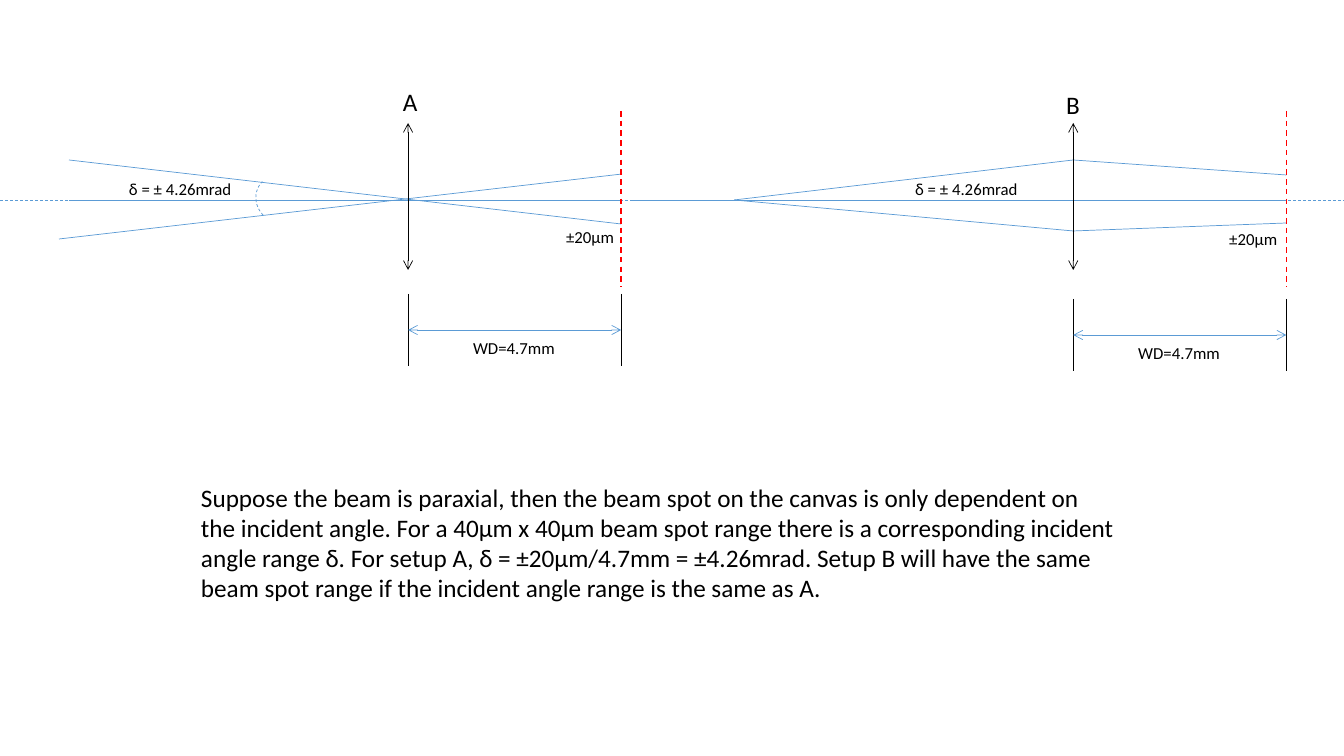
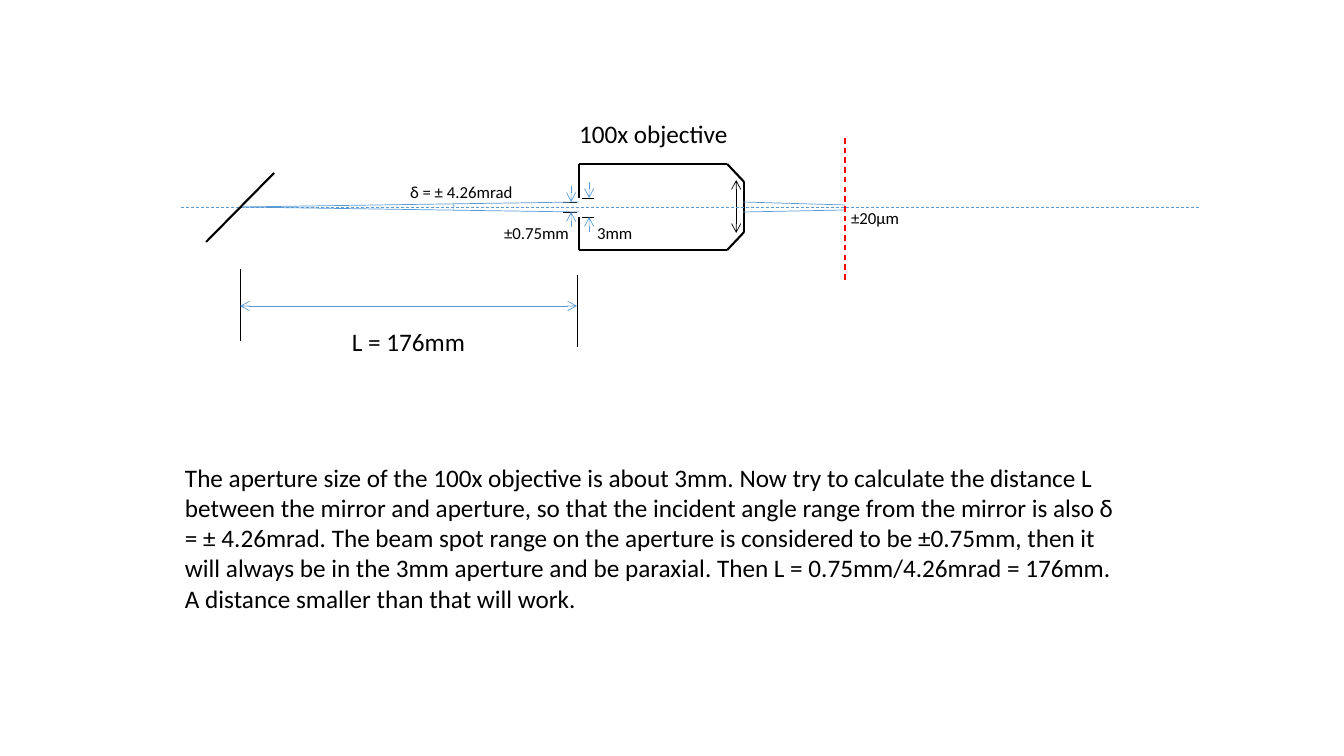
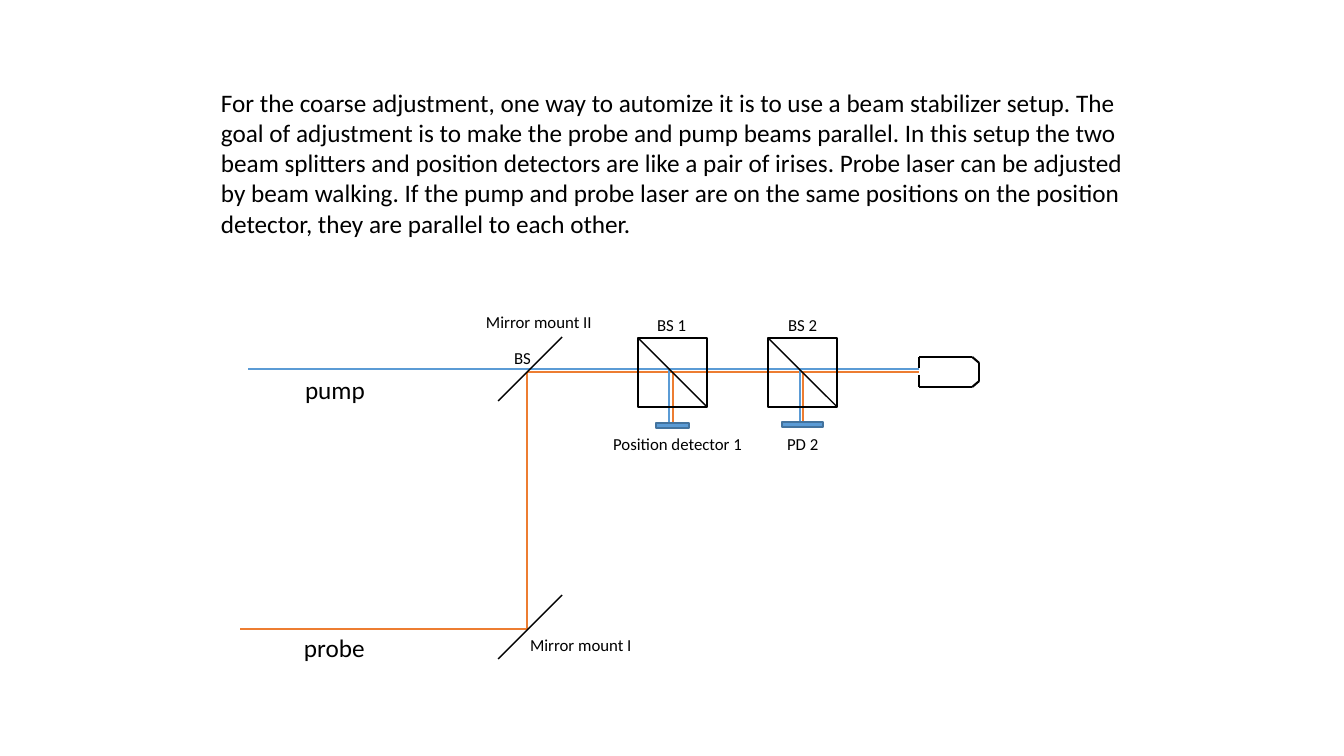
"""Build three slides on beam angle range, mirror distance and coarse alignment."""
from dataclasses import dataclass
from itertools import pairwise

from pptx import Presentation
from pptx.dml.color import RGBColor
from pptx.enum.dml import MSO_LINE
from pptx.enum.shapes import MSO_CONNECTOR, MSO_SHAPE
from pptx.enum.text import MSO_AUTO_SIZE
from pptx.oxml.ns import qn
from pptx.slide import Slide
from pptx.util import Emu, Inches, Pt
from lxml.etree import SubElement

EMU_PER_PIXEL = 914400 / 100.8
Point = tuple[int, int]


@dataclass(frozen=True)
class Stroke:
    color: str
    width: float
    dashed: bool = False


@dataclass(frozen=True)
class Theme:
    font: str = "Calibri"
    ink: str = "000000"
    blue: str = "5B9BD5"
    edge: str = "43739E"
    orange: str = "ED7D31"
    red: str = "FF0000"
    small: int = 12
    large: int = 18


THEME = Theme()
THIN = Stroke(THEME.ink, 0.5)
MEDIUM = Stroke(THEME.ink, 1)
THICK = Stroke(THEME.ink, 1.5)
RAY = Stroke(THEME.blue, 0.5)
AXIS = Stroke(THEME.blue, 0.5, dashed=True)
CANVAS = Stroke(THEME.red, 1, dashed=True)
PUMP = Stroke(THEME.blue, 1)
PROBE = Stroke(THEME.orange, 1)
DETECTOR_EDGE = Stroke(THEME.edge, 1)


@dataclass(frozen=True)
class Label:
    words: str
    left: int
    top: int
    width: int
    size: int = THEME.small
    height: int = 30
    wrap: bool = False


@dataclass(frozen=True)
class Line:
    start: Point
    end: Point
    stroke: Stroke
    head: bool = False
    tail: bool = False


@dataclass(frozen=True)
class Setup:
    lens: int
    gauge_top: int


@dataclass(frozen=True)
class Objective:
    left: int
    shoulder: int
    right: int
    top: int
    nose_top: int
    aperture_top: int
    aperture_bottom: int
    nose_bottom: int
    bottom: int


@dataclass(frozen=True)
class Splitter:
    left: int
    pump: int
    detector_left: int
    detector_top: int
    detector_width: int


def px(length: int) -> Emu:
    """Turn pixels into EMU."""
    return Emu(round(length * EMU_PER_PIXEL))


def set_stroke(line_format, stroke: Stroke) -> None:
    """Give a line its colour, width and dash."""
    line_format.color.rgb = RGBColor.from_string(stroke.color)
    line_format.width = Pt(stroke.width)
    if stroke.dashed:
        line_format.dash_style = MSO_LINE.DASH


def draw_lines(shapes, *lines: Line) -> None:
    """Draw straight lines with optional open arrowheads."""
    for line in lines:
        connector = shapes.add_connector(
            MSO_CONNECTOR.STRAIGHT, *map(px, line.start + line.end))
        set_stroke(connector.line, line.stroke)
        outline = connector.line._get_or_add_ln()
        for shown, tag in ((line.head, "a:headEnd"), (line.tail, "a:tailEnd")):
            if shown:
                SubElement(outline, qn(tag), type="arrow")
        SubElement(connector._element.spPr, qn("a:effectLst"))


def draw_labels(page: Slide, *labels: Label) -> None:
    """Add text boxes that each hold one run."""
    for label in labels:
        box = page.shapes.add_textbox(
            *map(px, (label.left, label.top, label.width, label.height)))
        frame = box.text_frame
        frame.word_wrap = label.wrap
        frame.auto_size = MSO_AUTO_SIZE.SHAPE_TO_FIT_TEXT
        span = frame.paragraphs[0].add_run()
        span.text = label.words
        span.font.name = THEME.font
        span.font.size = Pt(label.size)
        span.font.color.rgb = RGBColor.from_string(THEME.ink)


def draw_shape(shapes, kind: MSO_SHAPE, area: tuple[int, int, int, int],
               stroke: Stroke, fill: str | None = None,
               rotation: float = 0) -> None:
    """Draw a preset shape without shadow."""
    shape = shapes.add_shape(kind, *map(px, area))
    shape.shadow.inherit = False
    shape.rotation = rotation
    set_stroke(shape.line, stroke)
    if fill:
        shape.fill.solid()
        shape.fill.fore_color.rgb = RGBColor.from_string(fill)
    else:
        shape.fill.background()


def draw_double_arrow(page: Slide, start: Point, end: Point, stroke: Stroke) -> None:
    """Draw a line with an arrowhead at both ends."""
    draw_lines(page.shapes, Line(start, end, stroke, head=True, tail=True))


def draw_dimension(page: Slide, left: Point, right: Point, level: int) -> None:
    """Draw two extension lines and the arrow between them."""
    for x, top in (left, right):
        draw_lines(page.shapes, Line((x, top), (x, top + 72), THIN))
    draw_double_arrow(page, (left[0], level), (right[0], level), RAY)


def draw_setup(page: Slide, setup: Setup) -> None:
    """Draw a lens, its canvas and the working distance."""
    canvas = setup.lens + 213
    draw_double_arrow(page, (setup.lens, 123), (setup.lens, 270), THIN)
    draw_lines(page.shapes, Line((canvas, 111), (canvas, 287), CANVAS))
    draw_dimension(page, (setup.lens, setup.gauge_top),
                   (canvas, setup.gauge_top), setup.gauge_top + 36)
    draw_labels(page, Label("WD=4.7mm", setup.lens + 55, setup.gauge_top + 39,
                            107, wrap=True))


def draw_objective(page: Slide, lens: Objective) -> None:
    """Draw an objective outline, open at the aperture."""
    outline = (
        (lens.left, lens.aperture_top), (lens.left, lens.top),
        (lens.shoulder, lens.top), (lens.right, lens.nose_top),
        (lens.right, lens.nose_bottom), (lens.shoulder, lens.bottom),
        (lens.left, lens.bottom), (lens.left, lens.aperture_bottom))
    group = page.shapes.add_group_shape()
    draw_lines(group.shapes, *(Line(a, b, THICK) for a, b in pairwise(outline)))


def draw_aperture_gauge(page: Slide, left: int, right: int, arrow: int,
                        top: int, bottom: int) -> None:
    """Draw two ticks with arrows closing in on them."""
    for level, outside in ((top, top - 16), (bottom, bottom + 15)):
        draw_lines(page.shapes,
                   Line((left, level), (right, level), THIN),
                   Line((arrow, outside), (arrow, level), RAY, tail=True))


def draw_splitter(page: Slide, splitter: Splitter) -> None:
    """Draw a splitter cube, its two branches and its detector."""
    left, top, side = splitter.left, 338, 69
    draw_lines(page.shapes,
               Line((left + 35, 372), (left + 35, splitter.detector_top), PROBE),
               Line((splitter.pump, 369), (splitter.pump, splitter.detector_top), PUMP))
    draw_shape(page.shapes, MSO_SHAPE.RECTANGLE,
               (splitter.detector_left, splitter.detector_top,
                splitter.detector_width, 5), DETECTOR_EDGE, THEME.blue)
    cube = page.shapes.add_group_shape()
    draw_shape(cube.shapes, MSO_SHAPE.RECTANGLE, (left, top, side, side), MEDIUM)
    draw_lines(cube.shapes, Line((left, top), (left + side, top + side), MEDIUM))


def build_angle_page(page: Slide) -> None:
    """Compare the incident angle range of setups A and B."""
    source, upper, lower = (734, 200), (1073, 160), (1073, 231)
    draw_lines(page.shapes,
               Line((0, 200), (925, 200), AXIS),
               Line((69, 200), (621, 200), RAY),
               Line((621, 224), (69, 160), RAY),
               Line((622, 174), (59, 239), RAY),
               Line((633, 200), (1344, 200), AXIS),
               Line(source, (1286, 200), RAY),
               Line(source, upper, RAY),
               Line(source, lower, RAY),
               Line(upper, (1286, 175), RAY),
               Line(lower, (1286, 223), RAY))
    for setup in (Setup(408, 294), Setup(1073, 299)):
        draw_setup(page, setup)
    draw_shape(page.shapes, MSO_SHAPE.ARC, (255, 176, 49, 46), AXIS, rotation=225.4)
    draw_labels(
        page,
        Label("A", 393, 81, 35, THEME.large, 40),
        Label("B", 1056, 84, 34, THEME.large, 40),
        Label("δ = ± 4.26mrad", 119, 174, 124),
        Label("δ = ± 4.26mrad", 905, 174, 124),
        Label("±20µm", 556, 222, 70),
        Label("±20µm", 1219, 224, 70),
        Label("Suppose the beam is paraxial, then the beam spot on the canvas is "
              "only dependent on the incident angle. For a 40µm x 40µm beam spot "
              "range there is a corresponding incident angle range δ. For setup A, "
              "δ = ±20µm/4.7mm = ±4.26mrad. Setup B will have the same beam spot "
              "range if the incident angle range is the same as A.",
              191, 477, 937, THEME.large, 132, wrap=True))


def build_distance_page(page: Slide) -> None:
    """Show the distance from the mirror to the objective aperture."""
    draw_objective(page, Objective(left=579, shoulder=727, right=744, top=164,
                                   nose_top=182, aperture_top=198,
                                   aperture_bottom=217, nose_bottom=232, bottom=250))
    draw_double_arrow(page, (736, 180), (736, 233), THIN)
    draw_aperture_gauge(page, 563, 577, 571, 202, 212)
    draw_aperture_gauge(page, 582, 594, 589, 198, 217)
    draw_lines(page.shapes,
               Line((181, 207), (1199, 207), AXIS),
               Line((240, 207), (579, 202), RAY),
               Line((240, 207), (579, 212), RAY),
               Line((743, 202), (845, 205), RAY),
               Line((743, 212), (845, 210), RAY),
               Line((274, 173), (206, 242), THICK),
               Line((845, 138), (845, 282), CANVAS))
    draw_dimension(page, (240, 269), (577, 275), 306)
    draw_shape(page.shapes, MSO_SHAPE.ARC, (446, 203, 8, 8), AXIS, rotation=46.2)
    draw_labels(
        page,
        Label("3mm", 587, 218, 56),
        Label("±0.75mm", 494, 218, 87),
        Label("100x objective", 569, 113, 170, THEME.large, 40),
        Label("L = 176mm", 342, 321, 135, THEME.large, 40),
        Label("δ = ± 4.26mrad", 400, 177, 124),
        Label("±20µm", 841, 203, 70),
        Label("The aperture size of the 100x objective is about 3mm. Now try to "
              "calculate the distance L between the mirror and aperture, so that "
              "the incident angle range from the mirror is also δ = ± 4.26mrad. "
              "The beam spot range on the aperture is considered to be ±0.75mm, "
              "then it will always be in the 3mm aperture and be paraxial. Then "
              "L = 0.75mm/4.26mrad = 176mm. A distance smaller than that will work.",
              175, 457, 954, THEME.large, 163, wrap=True))


def build_alignment_page(page: Slide) -> None:
    """Show the beam stabilizer setup for coarse adjustment."""
    probe_route = ((240, 629), (527, 629), (527, 372), (919, 372))
    draw_lines(page.shapes, *(Line(a, b, PROBE) for a, b in pairwise(probe_route)))
    draw_lines(page.shapes, Line((248, 369), (919, 369), PUMP))
    for mirror_top in (337, 595):
        draw_lines(page.shapes,
                   Line((562, mirror_top), (498, mirror_top + 64), MEDIUM))
    for splitter in (Splitter(638, 669, 656, 423, 33),
                     Splitter(768, 800, 782, 422, 41)):
        draw_splitter(page, splitter)
    draw_objective(page, Objective(left=919, shoulder=972, right=979, top=357,
                                   nose_top=363, aperture_top=368,
                                   aperture_bottom=375, nose_bottom=381, bottom=387))
    draw_labels(
        page,
        Label("For the coarse adjustment, one way to automize it is to use a beam "
              "stabilizer setup. The goal of adjustment is to make the probe and "
              "pump beams parallel. In this setup the two beam splitters and "
              "position detectors are like a pair of irises. Probe laser can be "
              "adjusted by beam walking. If the pump and probe laser are on the "
              "same positions on the position detector, they are parallel to each "
              "other.", 211, 82, 923, THEME.large, 163, wrap=True),
        Label("BS", 504, 343, 37),
        Label("BS 1", 647, 310, 49),
        Label("BS 2", 778, 310, 49),
        Label("Position detector 1", 603, 429, 151),
        Label("PD 2", 777, 429, 52),
        Label("Mirror mount II", 476, 307, 127),
        Label("Mirror mount I", 520, 630, 127),
        Label("pump", 295, 369, 81, THEME.large, 40),
        Label("probe", 294, 627, 82, THEME.large, 40))


def main() -> None:
    """Build and save the deck."""
    deck = Presentation()
    deck.slide_width, deck.slide_height = Inches(13.33), Inches(7.5)
    for build_page in (build_angle_page, build_distance_page, build_alignment_page):
        build_page(deck.slides.add_slide(deck.slide_layouts[6]))
    deck.save("out.pptx")


main()
